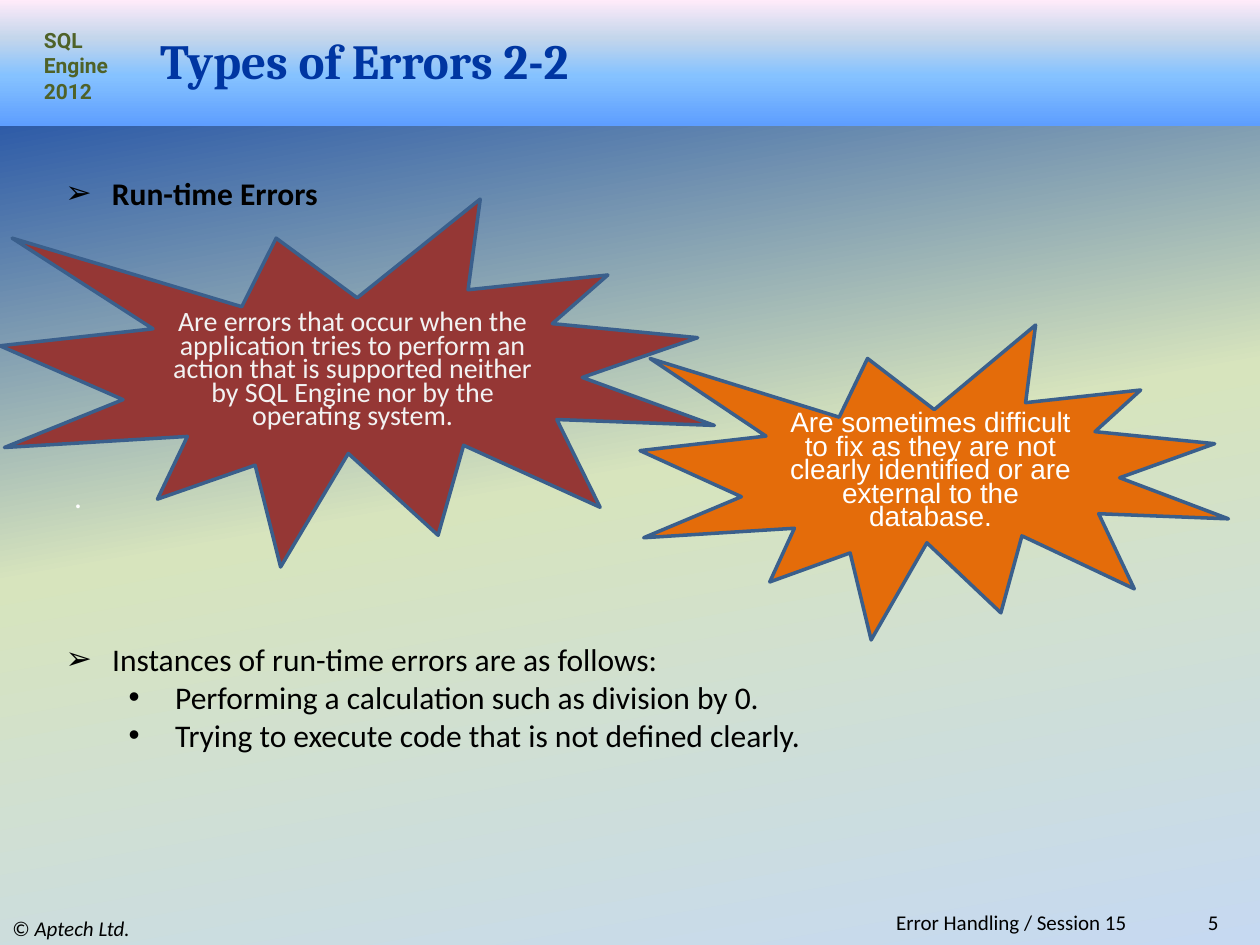
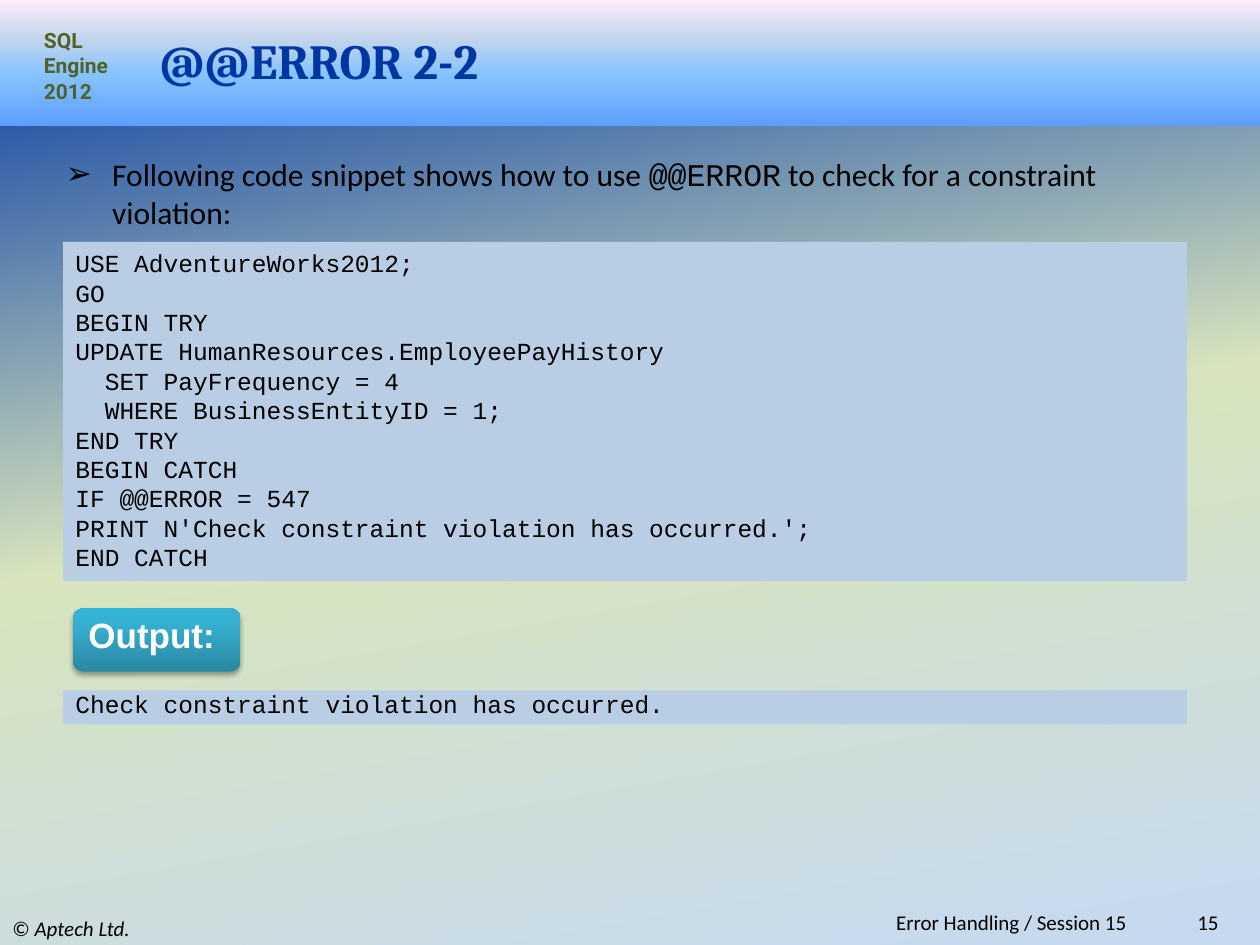
from dataclasses import dataclass
from lxml.etree import SubElement
from pptx import Presentation
from pptx.dml.color import RGBColor
from pptx.enum.shapes import MSO_SHAPE
from pptx.enum.text import MSO_ANCHOR, MSO_AUTO_SIZE, PP_ALIGN
from pptx.oxml.ns import qn
from pptx.util import Inches, Pt


@dataclass(frozen=True)
class Theme:
    """Colours, gradients and type styles shared by the slides."""

    back = ((0, "0036A2"), (50, "D7E4BD"), (100, "C6D9F1"))
    band = ((0, "5E9EFF"), (40, "85C2FF"), (70, "C4D6EB"), (100, "FFEBFA"))
    teal = ((0, "2A88A2"), (80, "37B1D2"), (100, "34B4D6"))
    panel, edge, red, orange = "B9CDE5", "3A5F8C", "953735", "E46C0A"
    title = dict(name="Cambria", size=Pt(28), bold=True, color="0036A2")
    brand = dict(name="Roboto", size=Pt(12), bold=True, color="4F6228")
    foot = dict(name="Calibri", size=Pt(12), color="000000")
    body = dict(name="Calibri", size=Pt(18), color="000000")
    light = dict(name="Calibri", size=Pt(16), color="F2F2F2")
    white = dict(name="Arial", size=Pt(16), color="FFFFFF")
    dot = dict(name="Calibri", size=Pt(18), color="FFFFFF")
    badge = dict(name="Arial", size=Pt(20), bold=True, color="FFFFFF")
    code = dict(name="Courier New", size=Pt(14), color="000000")


T = Theme()
AREA = (0, 1, 10, 6.2)
MARKS = (("➢", 0.37), ("•", 0.87))
HANG = 0.37
SQL = """USE AdventureWorks2012;
GO
BEGIN TRY
UPDATE HumanResources.EmployeePayHistory
  SET PayFrequency = 4
  WHERE BusinessEntityID = 1;
END TRY
BEGIN CATCH
IF @@ERROR = 547
PRINT N'Check constraint violation has occurred.';
END CATCH"""


def assign(item, values):
    """Set every attribute named in a dict."""
    for key, value in values.items():
        setattr(item, key, value)


def place(shape, x, y, w, h):
    """Move and size a shape in inches."""
    names = ("left", "top", "width", "height")
    assign(shape, dict(zip(names, map(Inches, (x, y, w, h)))))


def within(box, x, y, w, h):
    """Shift a part by the corner of its box."""
    return box[0] + x, box[1] + y, w, h


def blend(fill, root, stops, angle):
    """Give a fill a gradient of several stops."""
    fill.gradient()
    ramp = next(root.iter(qn("a:gsLst")))
    for old in list(ramp):
        ramp.remove(old)
    for pos, color in stops:
        stop = SubElement(ramp, qn("a:gs"), pos=str(pos * 1000))
        SubElement(stop, qn("a:srgbClr"), val=color)
    ramp.getnext().set("ang", str(angle * 60000))


def bullet(para, level):
    """Add a hanging bullet for a list level."""
    mark, margin = MARKS[level]
    para.level = level
    props = para._p.get_or_add_pPr()
    props.set("marL", str(Inches(margin)))
    props.set("indent", str(-Inches(HANG)))
    SubElement(props, qn("a:buFont"), typeface="Arial")
    SubElement(props, qn("a:buChar"), char=mark)


def add_run(para, text, style):
    """Append a run in a given style."""
    run = para.add_run()
    run.text = text
    look = dict(style)
    run.font.color.rgb = RGBColor.from_string(look.pop("color"))
    assign(run.font, look)


def write(shape, paras, style, anchor=MSO_ANCHOR.TOP, levels=None, **form):
    """Fill a shape with paragraphs made of (text, changes) runs."""
    frame = shape.text_frame
    assign(frame, dict(word_wrap=True, auto_size=MSO_AUTO_SIZE.NONE,
                       vertical_anchor=anchor))
    for num, runs in enumerate(paras):
        para = frame.add_paragraph() if num else frame.paragraphs[0]
        if levels:
            bullet(para, levels[num])
        assign(para, dict(alignment=PP_ALIGN.LEFT, space_before=Pt(0)) | form)
        for text, change in runs:
            add_run(para, text, style | change)


def plain(*lines):
    """Turn lines into paragraphs of one run each."""
    return [[(line, {})] for line in lines]


def label(slide, box, paras, style, **form):
    """Add a text box."""
    shape = slide.shapes.add_textbox(*map(Inches, box))
    write(shape, paras, style, **form)
    return shape


def block(slide, kind, box, color=None, edge=None):
    """Add a flat preset shape."""
    shape = slide.shapes.add_shape(kind, *map(Inches, box))
    shape.shadow.inherit = False
    if color:
        shape.fill.solid()
        shape.fill.fore_color.rgb = RGBColor.from_string(color)
    if edge:
        shape.line.color.rgb = RGBColor.from_string(edge)
        shape.line.width = Pt(2)
    else:
        shape.line.fill.background()
    return shape


def dress(layout, slide):
    """Put the background, band, brand and copyright on the layout."""
    blend(layout.background.fill, layout.element, T.back, 80)
    band = block(slide, MSO_SHAPE.RECTANGLE, (0, 0, 10, 1))
    blend(band.fill, band.element, T.band, 270)
    brand = label(slide, (0.25, 0.17, 0.75, 0.71),
                  plain("SQL Engine 2012"), T.brand)
    rights = label(slide, (0, 7.23, 3.33, 0.27),
                   [[("© ", {}), ("Aptech Ltd.", dict(italic=True))]],
                   T.foot, anchor=MSO_ANCHOR.MIDDLE)
    for num, part in enumerate((band, brand, rights)):
        part.element.nvSpPr.cNvPr.set("id", str(50 + num))
        layout.shapes.element.insert(2 + num, part.element)


def frame_page(slide, title, number):
    """Write the title, session footer and slide number."""
    place(slide.shapes.title, 1.17, 0.25, 8.33, 0.45)
    write(slide.shapes.title, plain(title), T.title, MSO_ANCHOR.MIDDLE)
    for box, text in (((8.92, 7.23, 0.85, 0.18), number),
                      ((2.5, 7.23, 6.54, 0.18), "Error Handling / Session 15")):
        label(slide, box, plain(text), T.foot, anchor=MSO_ANCHOR.MIDDLE,
              alignment=PP_ALIGN.RIGHT)


def outline(slide, box, paras, levels):
    """Fill the body placeholder with a bulleted list."""
    body = slide.placeholders[1]
    place(body, *box)
    write(body, paras, T.body, levels=levels)


def burst(slide, box, color, text, style):
    """Add a star burst with centred text."""
    seal = block(slide, MSO_SHAPE.EXPLOSION1, box, color, T.edge)
    write(seal, plain(text), style, MSO_ANCHOR.MIDDLE,
          alignment=PP_ALIGN.CENTER, line_spacing=0.7)


def types_page(slide, box):
    """Show run-time errors as two bursts and a list."""
    label(slide, within(box, 0.49, 2.54, 8.76, 0.83), plain("."), T.dot,
          anchor=MSO_ANCHOR.MIDDLE, line_spacing=0.9)
    burst(slide, within(box, 0, 0.58, 5.67, 2.92), T.red,
          "Are errors that occur when the application tries to perform an "
          "action that is supported neither by SQL Engine nor by the "
          "operating system.", T.light)
    label(slide, within(box, 0.42, 0.33, 8.92, 0.4),
          plain("Run-time Errors"), T.body | dict(bold=True), levels=(0,))
    burst(slide, within(box, 5.08, 1.58, 4.67, 2.5), T.orange,
          "Are sometimes difficult to fix as they are not clearly "
          "identified or are external to the database.", T.white)
    outline(slide, within(box, 0.42, 4.03, 9, 1.31),
            plain("Instances of run-time errors are as follows:",
                  "Performing a calculation such as division by 0.",
                  "Trying to execute code that is not defined clearly."),
            (0, 1, 1))


def badge(slide, box, text):
    """Add a rounded gradient tag with a soft shadow."""
    tag = block(slide, MSO_SHAPE.ROUNDED_RECTANGLE, box)
    blend(tag.fill, tag.element, T.teal, 270)
    effects = next(tag.element.iter(qn("a:effectLst")))
    cast = SubElement(effects, qn("a:outerShdw"), blurRad=str(Pt(3.1)),
                      dist=str(Pt(1.8)), dir="5400000", rotWithShape="0")
    shade = SubElement(cast, qn("a:srgbClr"), val="000000")
    SubElement(shade, qn("a:alpha"), val="35000")
    write(tag, plain(text), T.badge, MSO_ANCHOR.MIDDLE, line_spacing=0.7)


def code_page(slide, box):
    """Show a code snippet and its output."""
    outline(slide, within(box, 0.42, 0.18, 9.08, 0.71),
            [[("Following code snippet shows how to use ", {}),
              ("@@ERROR", dict(name="Courier New")),
              (" to check for a constraint violation:", {})]], (0,))
    result = "Check constraint violation has occurred."
    for y, h, text, gap in ((0.92, 2.69, SQL, 1), (4.48, 0.27, result, 0.7)):
        panel = block(slide, MSO_SHAPE.RECTANGLE,
                      within(box, 0.5, y, 8.92, h), T.panel)
        write(panel, plain(*text.split("\n")), T.code, line_spacing=gap)
    badge(slide, within(box, 0.58, 3.83, 1.33, 0.5), "Output:")


def main():
    """Build and save the deck."""
    deck = Presentation()
    assign(deck, dict(slide_width=Inches(10), slide_height=Inches(7.5)))
    layout = deck.slide_layouts[1]
    pages = (("Types of Errors 2-2", "5", types_page),
             ("@@ERROR 2-2", "15", code_page))
    for num, (title, number, fill) in enumerate(pages):
        slide = deck.slides.add_slide(layout)
        if num == 0:
            dress(layout, slide)
        frame_page(slide, title, number)
        fill(slide, AREA)
    deck.save("out.pptx")


if __name__ == "__main__":
    main()
